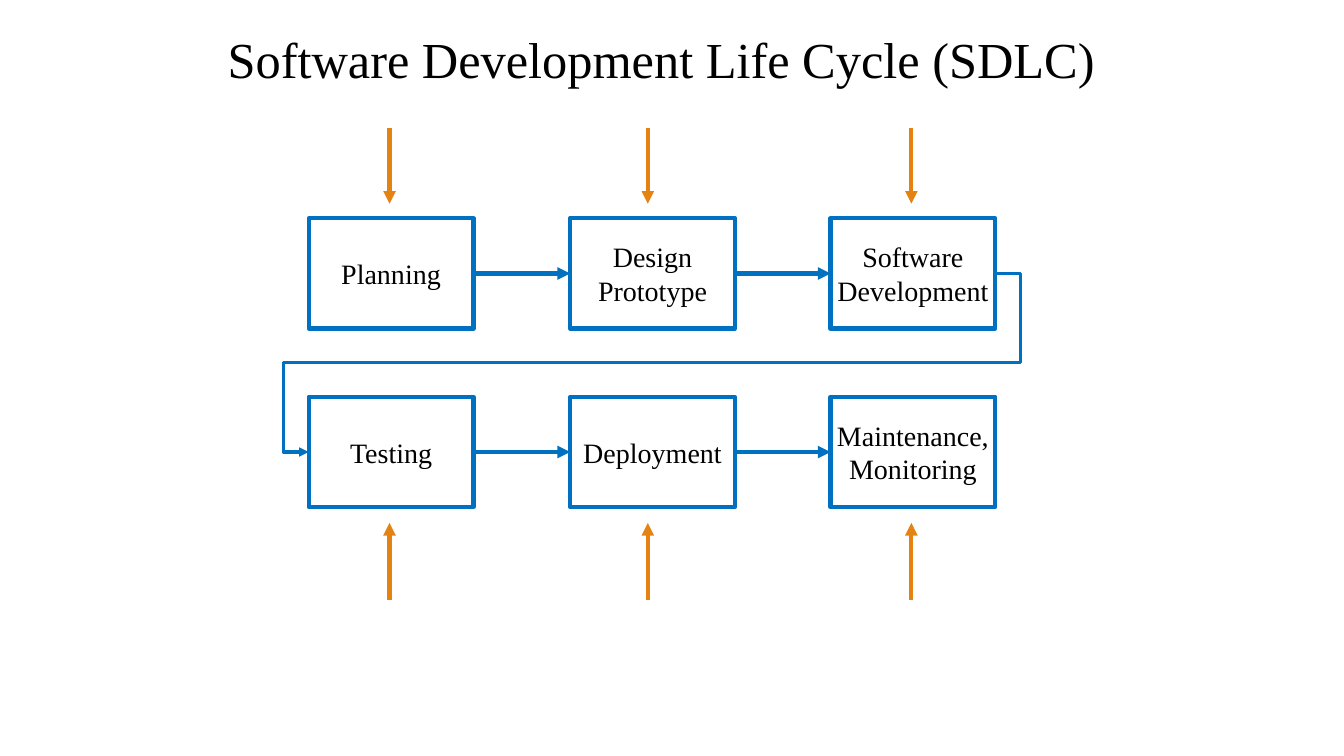
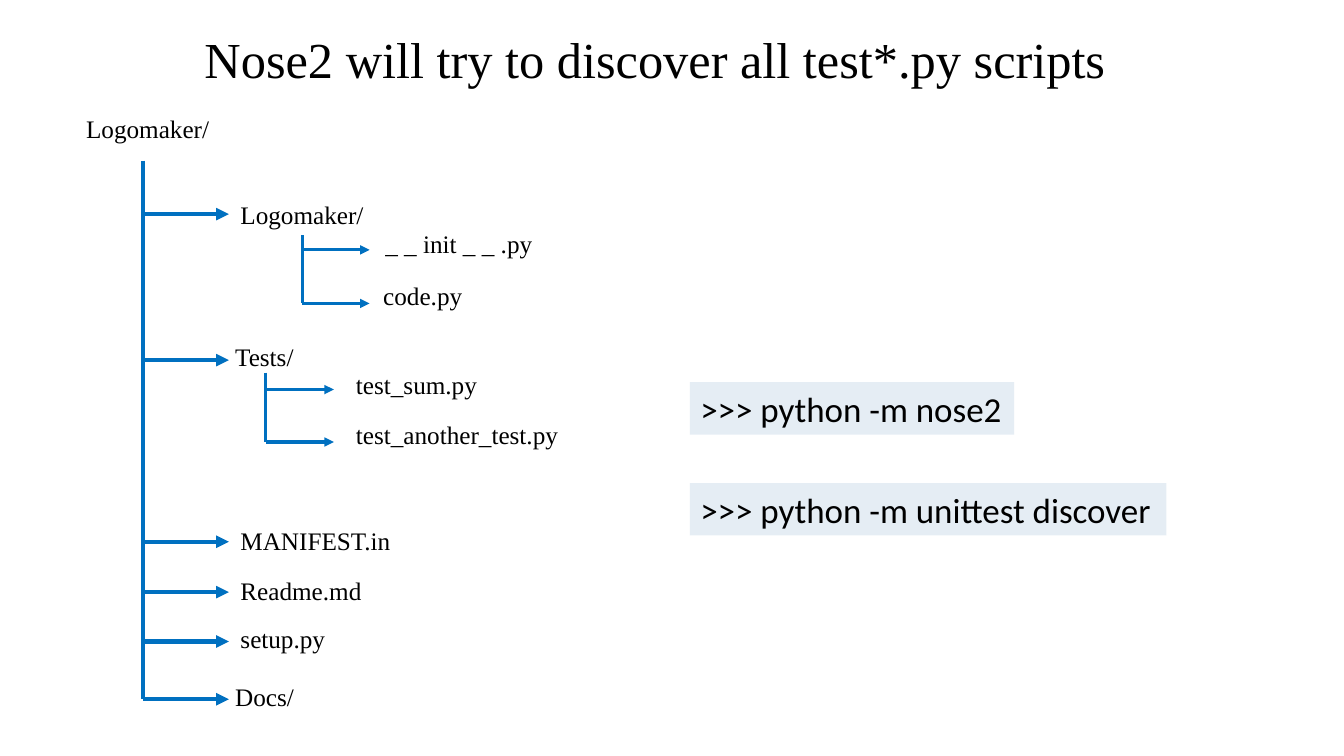
from pptx import Presentation
from pptx.dml.color import RGBColor
from pptx.enum.shapes import MSO_CONNECTOR, MSO_SHAPE
from pptx.enum.text import MSO_ANCHOR, MSO_AUTO_SIZE, PP_ALIGN
from pptx.oxml.ns import qn
from pptx.util import Pt
from lxml import etree

STRAIGHT, ELBOW = MSO_CONNECTOR.STRAIGHT, MSO_CONNECTOR.ELBOW
RECTANGLE = MSO_SHAPE.RECTANGLE
LEFT, CENTER = PP_ALIGN.LEFT, PP_ALIGN.CENTER
MIDDLE = MSO_ANCHOR.MIDDLE
NO_AUTOFIT = MSO_AUTO_SIZE.NONE
LEFT_SIDE, RIGHT_SIDE = 1, 3

# Shared look
EMU_PER_PX = 9525
SLIDE_WIDTH, SLIDE_HEIGHT = 1280, 720
BLACK, BLUE, ORANGE, PALE_BLUE = "000000", "0070C0", "E48312", "CCDDEA"
SERIF, SANS = "Times New Roman", "Calibri"
TITLE_TOP, TITLE_HEIGHT = 22, 68
THICK, THIN = 3, 2.25


def px(length):
    return round(length * EMU_PER_PX)


def color(hex_string):
    return RGBColor.from_string(hex_string)


def write_text(shape, lines, size, font=SERIF, align=LEFT, indent=0):
    frame = shape.text_frame
    frame.auto_size = NO_AUTOFIT
    frame.word_wrap = True
    frame.vertical_anchor = MIDDLE
    frame.margin_left = px(indent)
    frame.margin_top = frame.margin_right = frame.margin_bottom = 0
    for index, line in enumerate(lines):
        paragraph = frame.add_paragraph() if index else frame.paragraphs[0]
        paragraph.alignment = align
        run = paragraph.add_run()
        run.text = line
        run.font.name = font
        run.font.size = Pt(size)
        run.font.color.rgb = color(BLACK)


def add_rectangle(slide, left, top, width, height):
    shape = slide.shapes.add_shape(
        RECTANGLE, px(left), px(top), px(width), px(height))
    shape.shadow.inherit = False
    return shape


def add_line(slide, start, end, line_color, weight, arrow=True, kind=STRAIGHT):
    connector = slide.shapes.add_connector(
        kind, *(px(value) for value in (*start, *end)))
    connector.line.color.rgb = color(line_color)
    connector.line.width = Pt(weight)
    properties = connector.element.spPr
    if arrow:
        outline = properties.find(qn("a:ln"))
        etree.SubElement(outline, qn("a:tailEnd"), type="triangle")
    etree.SubElement(properties, qn("a:effectLst"))
    return connector


def join(connector, source, target):
    connector.begin_connect(source, RIGHT_SIDE)
    connector.end_connect(target, LEFT_SIDE)


def add_titled_slide(presentation, text, left, width):
    slide = presentation.slides.add_slide(presentation.slide_layouts[5])
    title = slide.shapes.title
    title.left, title.top = px(left), px(TITLE_TOP)
    title.width, title.height = px(width), px(TITLE_HEIGHT)
    write_text(title, [text], 36, align=CENTER)
    return slide


# Life cycle: two rows of steps
def add_step(slide, left, top, width, height, lines):
    step = add_rectangle(slide, left, top, width, height)
    step.fill.background()
    step.line.color.rgb = color(BLUE)
    step.line.width = Pt(THICK)
    write_text(step, lines, 20, align=CENTER)
    return step


def add_step_row(slide, top, labels):
    lefts, width, height = (294, 543, 791), 157, 105
    steps = [add_step(slide, left, top, width, height, lines)
             for left, lines in zip(lefts, labels)]
    middle = top + height / 2
    for index in range(len(steps) - 1):
        arrow = add_line(slide, (lefts[index] + width, middle),
                         (lefts[index + 1], middle), BLUE, THICK)
        join(arrow, steps[index], steps[index + 1])
    return steps


def add_return_path(slide, source, target):
    start = (source.left + source.width, source.top + source.height // 2)
    end = (target.left, target.top + target.height // 2)
    connector = add_line(slide, [value / EMU_PER_PX for value in start],
                         [value / EMU_PER_PX for value in end],
                         BLUE, THIN, kind=ELBOW)
    join(connector, source, target)
    # Five segments: out to the right, back between the rows, in from the left
    geometry = connector.element.spPr.find(qn("a:prstGeom"))
    geometry.set("prst", "bentConnector5")
    for child in list(geometry):
        geometry.remove(child)
    adjustments = etree.SubElement(geometry, qn("a:avLst"))
    for number, value in enumerate((-3700, 50000, 103700), start=1):
        etree.SubElement(adjustments, qn("a:gd"),
                         name=f"adj{number}", fmla=f"val {value}")


def build_life_cycle(presentation):
    slide = add_titled_slide(
        presentation, "Software Development Life Cycle (SDLC)", 203, 854)
    first_row = add_step_row(slide, 208, [
        ["Planning"], ["Design", "Prototype"], ["Software", "Development"]])
    second_row = add_step_row(slide, 378, [
        ["Testing"], ["Deployment"], ["Maintenance,", "Monitoring"]])
    add_return_path(slide, first_row[-1], second_row[0])

    # Orange arrows pointing at each step
    for start, end in ((122, 194), (571, 498)):
        for x in (371, 617, 868):
            add_line(slide, (x, start), (x, end), ORANGE, THICK)


# Test discovery: folder tree and commands
def add_label(slide, left, middle, text):
    width, height = 20 + 14 * len(text), 32
    label = slide.shapes.add_textbox(
        px(left), px(middle - height / 2), px(width), px(height))
    write_text(label, [text], 18, indent=10)


def add_tree(slide, left, top, reach, weight, branches):
    """Each branch: text, arrow y, label x and label middle, from the trunk top."""
    bottom = top + branches[-1][1]
    add_line(slide, (left, top), (left, bottom), BLUE, weight, arrow=False)
    for text, arrow_y, label_x, label_y in branches:
        y = top + arrow_y
        add_line(slide, (left, y), (left + reach, y), BLUE, weight)
        add_label(slide, left + label_x, top + label_y, text)


def add_command(slide, left, top, width, height, text):
    command = add_rectangle(slide, left, top, width, height)
    command.fill.solid()
    command.fill.fore_color.rgb = color(PALE_BLUE)
    fill = command.element.spPr.find(qn("a:solidFill"))
    etree.SubElement(fill[0], qn("a:alpha"), val="50000")
    command.line.fill.background()
    write_text(command, [text], 25, font=SANS, indent=10)


def build_test_discovery(presentation):
    slide = add_titled_slide(
        presentation, "Nose2 will try to discover all test*.py scripts", 181, 886)

    # Project folder
    add_label(slide, 72, 122, "Logomaker/")
    add_tree(slide, 136, 153, 82, THICK, [
        ("Logomaker/", 51, 83, 51),
        ("Tests/", 190, 78, 186),
        ("MANIFEST.in", 363, 83, 362),
        ("Readme.md", 411, 83, 409),
        ("setup.py", 458, 83, 455),
        ("Docs/", 513, 78, 510)])

    # Subfolders
    add_tree(slide, 288, 224, 64, THIN, [
        ("_ _ init _ _ .py", 14, 69, 8),
        ("code.py", 65, 67, 57)])
    add_tree(slide, 253, 355, 65, THIN, [
        ("test_sum.py", 16, 76, 11),
        ("test_another_test.py", 66, 76, 59)])

    # Commands
    add_command(slide, 657, 364, 309, 50, ">>> python -m nose2")
    add_command(slide, 657, 460, 454, 50, ">>> python -m unittest discover")


def main():
    presentation = Presentation()
    presentation.slide_width = px(SLIDE_WIDTH)
    presentation.slide_height = px(SLIDE_HEIGHT)
    build_life_cycle(presentation)
    build_test_discovery(presentation)
    presentation.save("out.pptx")


if __name__ == "__main__":
    main()
